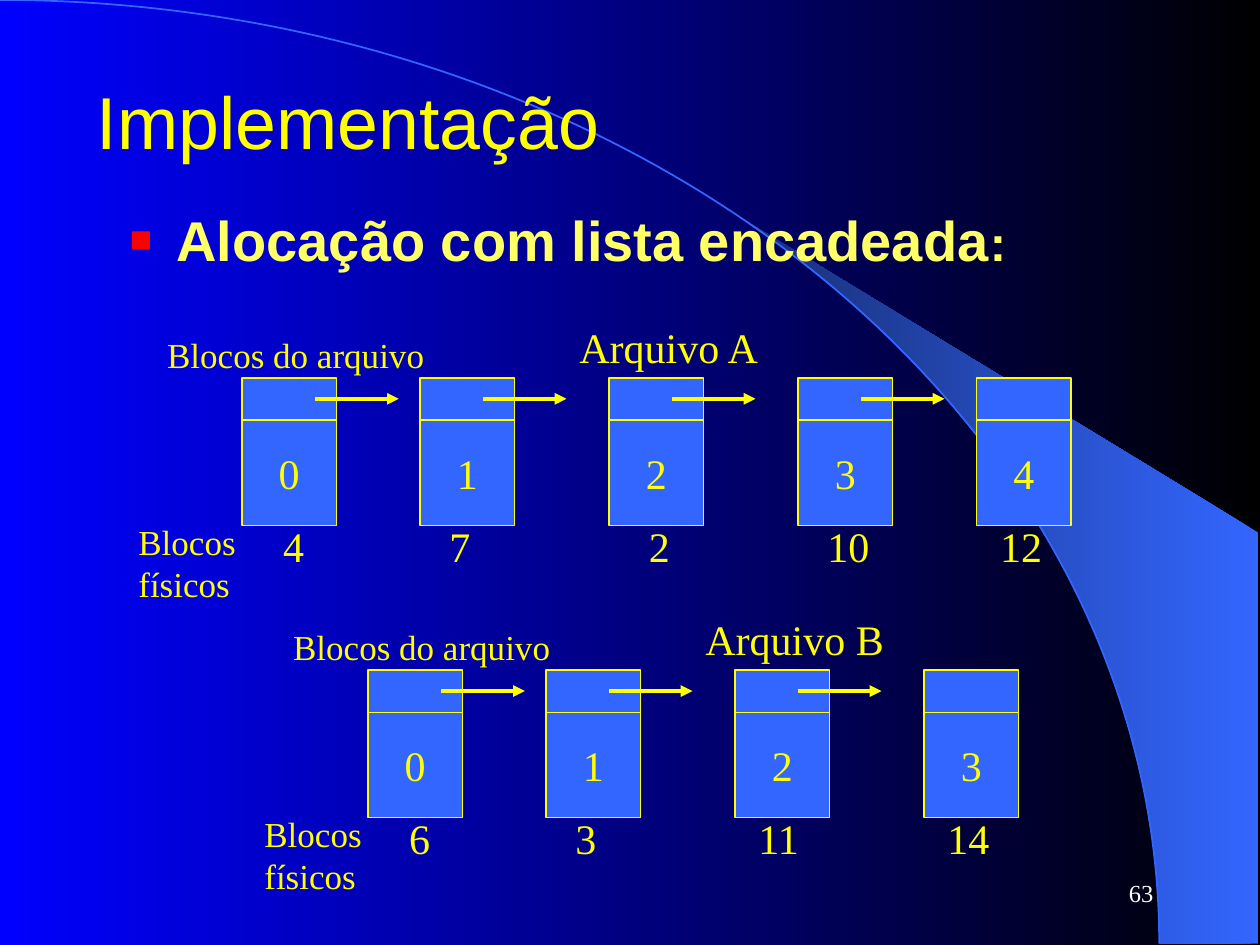
import math

from lxml import etree
from pptx import Presentation
from pptx import util as u
from pptx.dml.color import RGBColor
from pptx.enum import shapes, text
from pptx.oxml.ns import qn

YELLOW = RGBColor(0xFF, 0xFF, 0x00)
PALE_YELLOW = RGBColor(0xFF, 0xFF, 0x66)
BLUE = RGBColor(0x33, 0x66, 0xFF)
NAVY = RGBColor(0x17, 0x2F, 0x75)
PURE_BLUE = RGBColor(0x00, 0x00, 0xFF)
BLACK = RGBColor(0x00, 0x00, 0x00)
WHITE = RGBColor(0xFF, 0xFF, 0xFF)
SANS, SERIF = "Arial", "Times New Roman"

# Content: lengths in cm, horizontal places relative to each file's origin
TITLE = "Implementação"
TOPIC = [("Alocação com lista encadeada", 32), (":", 28)]
PAGE = "63"
FILES = [
    dict(name="Arquivo A", origin=(0, 0),
         physical=[("4", 5.46), ("7", 8.81), ("2", 12.83), ("10", 16.43), ("12", 19.91)]),
    dict(name="Arquivo B", origin=(2.54, 5.89),
         physical=[("6", 5.46), ("3", 8.81), ("11", 12.5), ("14", 16.31)]),
]
BLOCK_X = [4.88, 8.47, 12.28, 16.09, 19.69]
ARROW_X = [6.35, 9.73, 13.54, 17.35]
BLOCK_W, HEAD_H, BODY_H = 1.9, 0.85, 2.12
BLOCK_Y, ARROW_Y, ARROW_W, LABEL_Y = 7.62, 8.04, 1.69, 10.37
ARC_RX, ARC_RY = 23.37, 19.02

prs = Presentation()
prs.slide_width, prs.slide_height = u.Cm(25.4), u.Cm(19.05)
s = prs.slides.add_slide(prs.slide_layouts[6])


def set_gradient(fill, start, end):
    fill.gradient()
    fill.gradient_angle = 180
    for stop, color in zip(fill.gradient_stops, (start, end)):
        stop.color.rgb = color


def style(p, size, color=YELLOW, font=SERIF, bold=False):
    for r in p.runs:
        r.font.size, r.font.name, r.font.bold = u.Pt(size), font, bold
        r.font.color.rgb = color


def add_text(x, y, w, h, content, size, wrap=False, anchor=text.MSO_ANCHOR.TOP, **look):
    tf = s.shapes.add_textbox(u.Cm(x), u.Cm(y), u.Cm(w), u.Cm(h)).text_frame
    tf.word_wrap, tf.vertical_anchor = wrap, anchor
    tf.text = content
    for p in tf.paragraphs:
        style(p, size, **look)
    return tf


def add_block(x, y, h, label=""):
    sp = s.shapes.add_shape(shapes.MSO_SHAPE.RECTANGLE, u.Cm(x), u.Cm(y), u.Cm(BLOCK_W), u.Cm(h))
    sp.shadow.inherit = False
    sp.fill.solid()
    sp.fill.fore_color.rgb = BLUE
    sp.line.color.rgb, sp.line.width = YELLOW, u.Pt(0.75)
    if label:
        tf = sp.text_frame
        tf.word_wrap, tf.vertical_anchor = False, text.MSO_ANCHOR.MIDDLE
        tf.text = label
        tf.paragraphs[0].alignment = text.PP_ALIGN.CENTER
        style(tf.paragraphs[0], 24)


def add_arrow(x, y):
    line = s.shapes.add_connector(shapes.MSO_CONNECTOR.STRAIGHT,
                                  u.Cm(x), u.Cm(y), u.Cm(x + ARROW_W), u.Cm(y))
    line.line.color.rgb, line.line.width = YELLOW, u.Pt(2.25)
    etree.SubElement(line.line._get_or_add_ln(), qn("a:tailEnd"), type="triangle")
    etree.SubElement(line._element.spPr, qn("a:effectLst"))


# Background with the curved band and its arc
set_gradient(s.background.fill, BLACK, PURE_BLUE)
STEPS, ARC_END = 24, math.radians(50.2)
curve = [(ARC_RX * math.cos(a), ARC_RY * (1 - math.sin(a)))
         for a in (ARC_END * i / STEPS for i in range(STEPS + 1))]
outline = [(u.Cm(x), u.Cm(y)) for x, y in curve + [(25.37, 10.74), (25.37, ARC_RY)]]
builder = s.shapes.build_freeform(*outline[0])  # points in EMU, as the builder rounds them
builder.add_line_segments(outline[1:])
band = builder.convert_to_shape()
band.shadow.inherit = False
set_gradient(band.fill, BLUE, NAVY)
band.line.fill.background()

arc = s.shapes.add_shape(shapes.MSO_SHAPE.ARC, u.Cm(-ARC_RX), 0, u.Cm(2 * ARC_RX), u.Cm(2 * ARC_RY))
arc.shadow.inherit = False
arc.fill.background()
arc.line.color.rgb, arc.line.width = BLUE, u.Pt(1)

# Title and topic
add_text(1.7, 0.84, 22.86, 3.18, TITLE, 42, wrap=True, anchor=text.MSO_ANCHOR.MIDDLE, font=SANS)
tf = add_text(2.34, 4.01, 18.85, 1.91, "", 32, wrap=True)
p = tf.paragraphs[0]
p.alignment = text.PP_ALIGN.JUSTIFY
pPr = p._p.get_or_add_pPr()
pPr.set("marL", str(u.Cm(0.97)))
pPr.set("indent", str(-u.Cm(0.97)))
bullet_color = etree.SubElement(pPr, qn("a:buClr"))
etree.SubElement(bullet_color, qn("a:srgbClr"), val="FF0000")
etree.SubElement(pPr, qn("a:buSzPct"), val="130000")
etree.SubElement(pPr, qn("a:buFont"), typeface=SANS)
etree.SubElement(pPr, qn("a:buChar"), char="▪")
for words, size in TOPIC:
    r = p.add_run()
    r.text = words
    r.font.size, r.font.name, r.font.bold = u.Pt(size), SANS, True
    r.font.color.rgb = PALE_YELLOW

# Linked blocks of each file
for file in FILES:
    dx, dy = file["origin"]
    add_text(11.43 + dx, 6.35 + dy, 4.14, 1.27, file["name"], 24)
    add_text(3.12 + dx, 6.6 + dy, 5.69, 1.12, "Blocos do arquivo", 20)
    add_text(2.54 + dx, LABEL_Y + dy, 2.64, 1.96, "Blocos\nfísicos", 20)
    count = len(file["physical"])
    for i, (number, label_x) in enumerate(file["physical"]):
        add_block(BLOCK_X[i] + dx, BLOCK_Y + dy, HEAD_H)
        add_block(BLOCK_X[i] + dx, BLOCK_Y + HEAD_H + dy, BODY_H, str(i))
        add_text(label_x + dx, LABEL_Y + dy, 0.52 + 0.44 * len(number), 1.27, number, 24)
    for x in ARROW_X[:count - 1]:
        add_arrow(x + dx, ARROW_Y + dy)

# Page number
tf = add_text(18.2, 17.36, 5.3, 1.27, PAGE, 14, wrap=True,
              anchor=text.MSO_ANCHOR.MIDDLE, color=WHITE)
tf.paragraphs[0].alignment = text.PP_ALIGN.RIGHT

prs.save("out.pptx")
